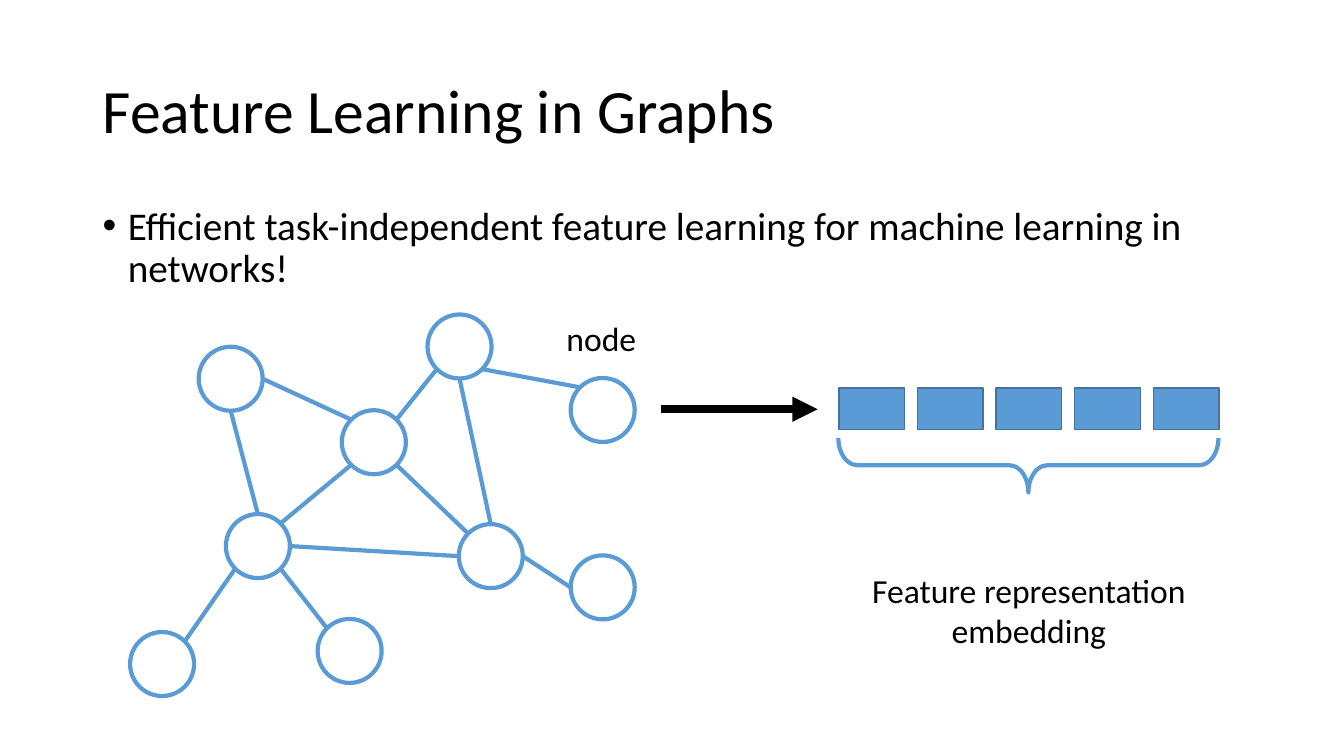
import math

import pptx
import pptx.dml.color
import pptx.enum.shapes
import pptx.enum.text
import pptx.oxml.ns
import pptx.util
import lxml.etree

BLUE = pptx.dml.color.RGBColor(0x5B, 0x9B, 0xD5)
DARK_BLUE = pptx.dml.color.RGBColor(0x43, 0x73, 0x9E)
BLACK = pptx.dml.color.RGBColor(0x00, 0x00, 0x00)
SHAPES = pptx.enum.shapes.MSO_SHAPE
ANCHOR = pptx.enum.text.MSO_ANCHOR
ALIGN = pptx.enum.text.PP_ALIGN

NODE_SIZE = 6.35
NODES = {
    "upper left": (19.7, 34.4), "top": (42.4, 31.2), "centre": (33.9, 40.7),
    "hub": (22.4, 51), "right": (45.5, 52), "lower middle": (31.5, 61.4),
    "lower left": (12.9, 62.7), "labelled": (56.6, 37.5), "lower right": (56.6, 55.1),
}
COMPASS = ("E", "SE", "S", "SW", "W", "NW", "N", "NE")
EDGES = [
    ("upper left", "S", "hub", "N"), ("upper left", "E", "centre", "NW"),
    ("centre", "SW", "hub", "NE"), ("hub", "SW", "lower left", "NE"),
    ("hub", "SE", "lower middle", "NW"), ("hub", "E", "right", "W"),
    ("right", "NW", "centre", "SE"), ("top", "SW", "centre", "NE"),
    ("top", "S", "right", "N"), ("top", "SE", "labelled", "NW"),
    ("right", "E", "lower right", "W"),
]


class GraphSlide:
    """Draws styled elements on one slide, with lengths in grid cells of a tenth of an inch."""

    font_name = "Calibri"
    cell = pptx.util.Inches(0.1)

    def __init__(self, presentation):
        self.slide = presentation.slides.add_slide(presentation.slide_layouts[6])

    def grid(self, *lengths):
        return [round(length * self.cell) for length in lengths]

    def text(self, box, content, size, wrap=True, anchor=ANCHOR.TOP,
             align=ALIGN.LEFT, spacing=None, bullet=False):
        shape = self.slide.shapes.add_textbox(*self.grid(*box))
        frame = shape.text_frame
        frame.text = content
        frame.word_wrap = wrap
        frame.vertical_anchor = anchor
        if not wrap:
            frame.auto_size = pptx.enum.text.MSO_AUTO_SIZE.SHAPE_TO_FIT_TEXT
        for paragraph in frame.paragraphs:
            if bullet:
                self.bullet(paragraph)
            paragraph.alignment = align
            paragraph.line_spacing = spacing
            for run in paragraph.runs:
                run.font.name = self.font_name
                run.font.size = pptx.util.Pt(size)
                run.font.color.rgb = BLACK

    def bullet(self, paragraph):
        indent = pptx.util.Inches(0.25)
        properties = paragraph._p.get_or_add_pPr()
        properties.set("marL", str(indent))
        properties.set("indent", str(-indent))
        qualified = pptx.oxml.ns.qn
        lxml.etree.SubElement(properties, qualified("a:buFont")).set("typeface", "Arial")
        lxml.etree.SubElement(properties, qualified("a:buChar")).set("char", "•")

    def outline(self, kind, box, color=BLUE, width=3, fill=None):
        shape = self.slide.shapes.add_shape(kind, *self.grid(*box))
        shape.shadow.inherit = False
        if fill is None:
            shape.fill.background()
        else:
            shape.fill.solid()
            shape.fill.fore_color.rgb = fill
        shape.line.color.rgb = color
        shape.line.width = pptx.util.Pt(width)
        return shape

    def node(self, name):
        self.outline(SHAPES.OVAL, (*NODES[name], NODE_SIZE, NODE_SIZE))

    def rim(self, name, direction):
        left, top = NODES[name]
        angle = COMPASS.index(direction) * math.pi / 4
        radius = NODE_SIZE / 2
        return (left + radius + radius * math.cos(angle),
                top + radius + radius * math.sin(angle))

    def line(self, start, end, color=BLUE, width=3, arrow=False):
        connector = self.slide.shapes.add_connector(
            pptx.enum.shapes.MSO_CONNECTOR.STRAIGHT, *self.grid(*start, *end))
        connector.line.color.rgb = color
        connector.line.width = pptx.util.Pt(width)
        qualified = pptx.oxml.ns.qn
        if arrow:
            outline = connector.line._get_or_add_ln()
            lxml.etree.SubElement(outline, qualified("a:tailEnd")).set("type", "triangle")
        lxml.etree.SubElement(connector._element.spPr, qualified("a:effectLst"))

    def brace(self, box):
        shape = self.outline(SHAPES.LEFT_BRACE, box)
        shape.rotation = 270
        shape.adjustments[0] = 0.35
        shape.adjustments[1] = 0.5


def main():
    presentation = pptx.Presentation()
    presentation.slide_width = pptx.util.Inches(13.33)
    presentation.slide_height = pptx.util.Inches(7.5)
    page = GraphSlide(presentation)

    page.text((9.2, 4, 115, 14.5), "Feature Learning in Graphs", 44,
              anchor=ANCHOR.MIDDLE, spacing=0.9)
    page.text((9.2, 20, 115, 47.6),
              "Efficient task-independent feature learning for machine learning in networks!",
              28, spacing=0.9, bullet=True)

    for name in NODES:
        page.node(name)
    for start, start_side, end, end_side in EDGES:
        page.line(page.rim(start, start_side), page.rim(end, end_side))

    page.text((55.2, 31, 9, 5), "node", 24, wrap=False)
    page.line((65.6, 40.6), (81.1, 40.6), BLACK, 6, arrow=True)

    for index in range(5):
        page.outline(SHAPES.RECTANGLE, (83.2 + 7.8 * index, 38.5, 6.5, 4.1),
                     DARK_BLUE, 1, BLUE)
    page.brace((99.3, 27.3, 5.4, 37.7))
    page.text((85.3, 56, 33.5, 9.1), "Feature representation\nembedding", 24,
              wrap=False, align=ALIGN.CENTER)

    presentation.save("out.pptx")


if __name__ == "__main__":
    main()
